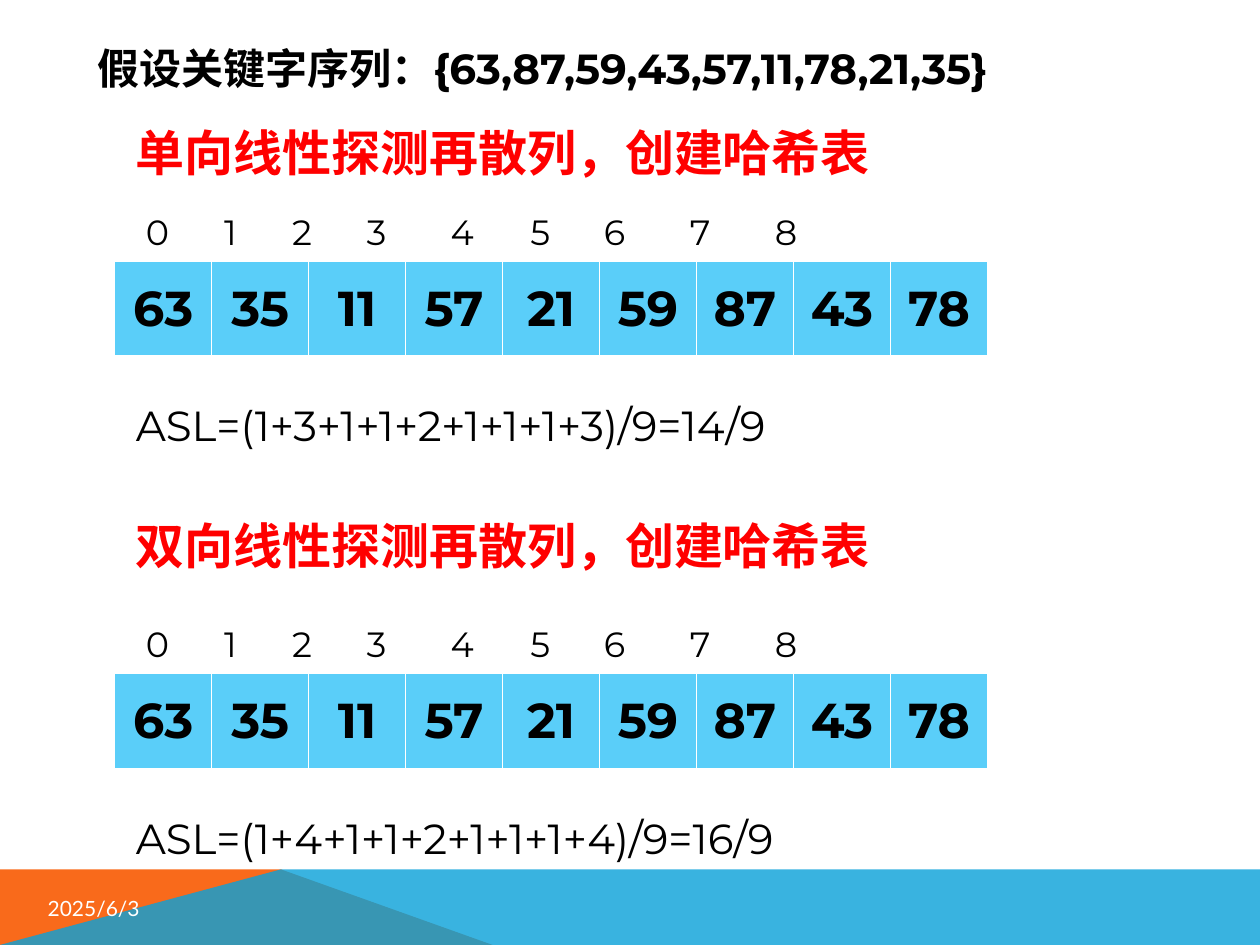
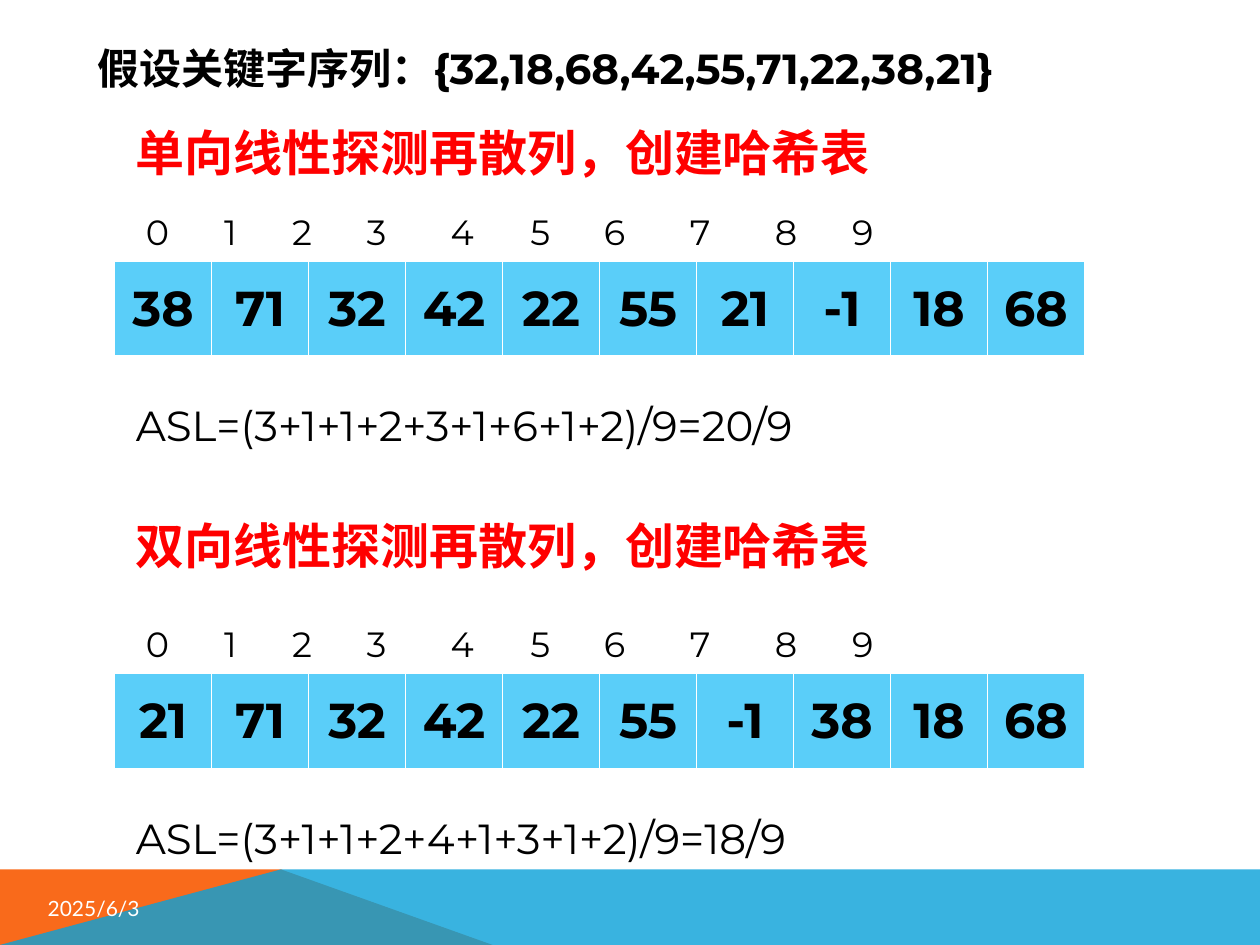
from lxml.etree import SubElement
from pptx import Presentation
from pptx.dml.color import RGBColor
from pptx.enum.text import MSO_ANCHOR, MSO_AUTO_SIZE, PP_ALIGN
from pptx.oxml.ns import qn
from pptx.util import Inches, Pt

COLORS = {"ink": "000000", "red": "FF0000", "white": "FFFFFF",
          "cell": "5ACEF9", "orange": "F96A1B", "blue": "08A1D9"}
BANDS = [("orange", 100, [(0, 7.5), (0, 6.9), (2.23, 6.9), (3.91, 7.5)]),
         ("blue", 80, [(0, 7.5), (2.23, 6.9), (10, 6.9), (10, 7.5)])]
STOPS = [0.67, 1.24, 1.83, 2.51, 3.13, 3.72, 4.4, 5.08, 5.69]
BORDERS = {"lnL": 1, "lnR": 1, "lnT": 1, "lnB": 3}
SIDE = 0.77
# Tops of the heading, index row, table and ASL line
PLACES = [("单向", 0.92, 1.62, 2.07, 3.12), ("双向", 4.04, 4.89, 5.34, 6.4)]
SLIDES = [
    ("63,87,59,43,57,11,78,21,35",
     [([63, 35, 11, 57, 21, 59, 87, 43, 78], "(1+3+1+1+2+1+1+1+3)/9=14/9"),
      ([63, 35, 11, 57, 21, 59, 87, 43, 78], "(1+4+1+1+2+1+1+1+4)/9=16/9")]),
    ("32,18,68,42,55,71,22,38,21",
     [([38, 71, 32, 42, 22, 55, 21, -1, 18, 68], "(3+1+1+2+3+1+6+1+2)/9=20/9"),
      ([21, 71, 32, 42, 22, 55, -1, 38, 18, 68], "(3+1+1+2+4+1+3+1+2)/9=18/9")]),
]


def style(para, size, color="ink", bold=False, face="Montserrat"):
    para.font.size = Pt(size)
    para.font.bold = bold
    para.font.name = face
    para.font.color.rgb = RGBColor.from_string(COLORS[color])


def write(shape, box, text, *look):
    """Place a text shape and fill it with one styled, left-aligned line."""
    shape.left, shape.top, shape.width, shape.height = map(Inches, box)
    frame = shape.text_frame
    frame.word_wrap = True
    frame.auto_size = MSO_AUTO_SIZE.NONE
    frame.vertical_anchor = MSO_ANCHOR.TOP
    frame.text = text
    para = frame.paragraphs[0]
    para.alignment = PP_ALIGN.LEFT
    style(para, *look)
    return frame


deck = Presentation()
deck.slide_width, deck.slide_height = Inches(10), Inches(7.5)
layout = deck.slide_layouts[5]

for number, (keys, tables) in enumerate(SLIDES):
    slide = deck.slides.add_slide(layout)
    shapes = slide.shapes

    # The footer bands move to the layout, which both slides share
    if number == 0:
        for color, alpha, points in BANDS:
            start, *rest = [(Inches(x), Inches(y)) for x, y in points]
            pen = shapes.build_freeform(*start)
            pen.add_line_segments(rest, close=True)
            band = pen.convert_to_shape()
            band.shadow.inherit = False
            band.line.fill.background()
            band.fill.solid()
            band.fill.fore_color.rgb = RGBColor.from_string(COLORS[color])
            if alpha < 100:
                tint = band.element.spPr.find(".//" + qn("a:srgbClr"))
                SubElement(tint, qn("a:alpha"), val=str(alpha * 1000))
            layout.element.cSld.spTree.append(band.element)

    write(shapes.title, (0.67, 0.29, 8.74, 0.5),
          f"假设关键字序列：{{{keys}}}", 24, "ink", True)
    date = write(shapes.add_textbox(0, 0, 0, 0), (0.28, 7.06, 1.68, 0.29),
                 "2025/6/3", 12, "white", False, "Lato")
    date.vertical_anchor = MSO_ANCHOR.MIDDLE

    for (way, head, index, top, foot), (values, sums) in zip(PLACES, tables):
        write(shapes.add_textbox(0, 0, 0, 0), (0.98, head, 6.46, 0.57),
              f"{way}线性探测再散列，创建哈希表", 28, "red", True, "Lato")

        count = len(values)
        row = write(shapes.add_textbox(0, 0, 0, 0), (1.06, index, 8.03, 0.44),
                    "\t".join(map(str, range(count))), 20)
        props = row.paragraphs[0]._p.get_or_add_pPr()
        tabs = props.makeelement(qn("a:tabLst"))
        for stop in STOPS[:count - 1]:
            SubElement(tabs, qn("a:tab"), pos=str(Inches(stop)), algn="ctr")
        props.find(qn("a:defRPr")).addprevious(tabs)

        table = shapes.add_table(1, count, Inches(0.91), Inches(top),
                                 Inches(SIDE * count), Inches(SIDE)).table
        for col, value in enumerate(values):
            table.columns[col].width = Inches(SIDE)
            cell = table.cell(0, col)
            for tag, width in BORDERS.items():
                line = SubElement(cell._tc.get_or_add_tcPr(), qn("a:" + tag),
                                  w=str(Pt(width)))
                fill = SubElement(line, qn("a:solidFill"))
                SubElement(fill, qn("a:srgbClr"), val=COLORS["white"])
            cell.fill.solid()
            cell.fill.fore_color.rgb = RGBColor.from_string(COLORS["cell"])
            cell.vertical_anchor = MSO_ANCHOR.MIDDLE
            cell.text = str(value)
            para = cell.text_frame.paragraphs[0]
            para.alignment = PP_ALIGN.CENTER
            style(para, 28, "ink", True)

        write(shapes.add_textbox(0, 0, 0, 0), (0.98, foot, 6.77, 0.5),
              f"ASL={sums}", 24)

deck.save("out.pptx")
